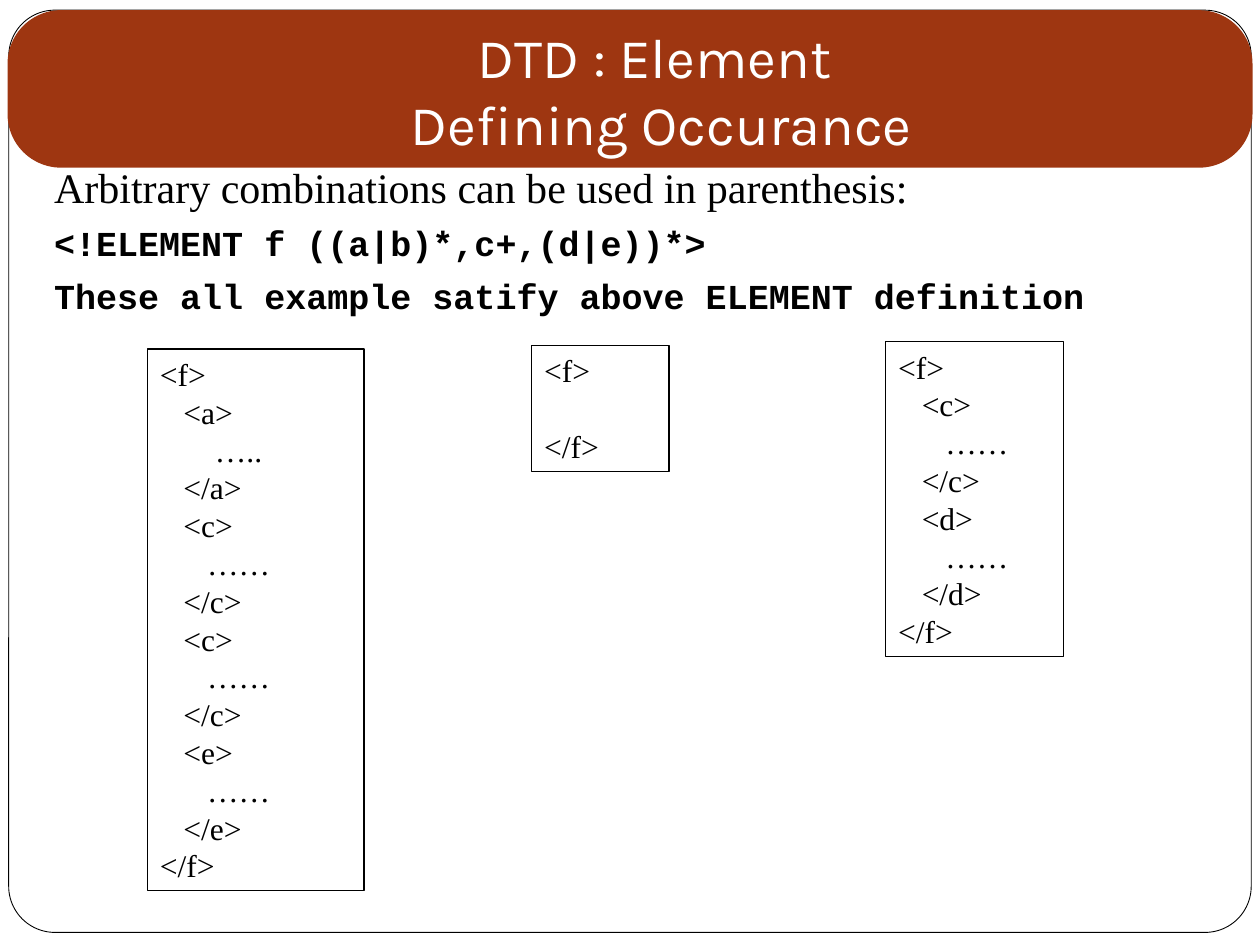
from dataclasses import dataclass

from pptx import Presentation
from pptx.dml.color import RGBColor
from pptx.enum.shapes import MSO_SHAPE as Shape
from pptx.enum.text import MSO_ANCHOR as Anchor, MSO_AUTO_SIZE as AutoSize, PP_ALIGN as Align
from pptx.util import Pt


@dataclass(frozen=True)
class Theme:
    black: RGBColor = RGBColor(0, 0, 0)
    white: RGBColor = RGBColor(255, 255, 255)
    rust: RGBColor = RGBColor(0x9E, 0x36, 0x11)
    title_font: str = "Karla"
    serif: str = "Times New Roman"
    mono: str = "Courier New"
    title_size: float = 32
    lead_size: float = 24
    code_size: float = 20
    sample_size: float = 18
    leading: float = 1.2
    para_gap: float = 5.8


THEME = Theme()

# Left, top, width, height and lines of each sample document; "" is a blank line
SAMPLES = [
    ((84.24, 199.4, 123.8, 309.6),
     ["<f>", "   <a>", "       …..", "   </a>",
      "   <c>", "      ……", "   </c>",
      "   <c>", "      ……", "   </c>",
      "   <e>", "      ……", "   </e>", "</f>"]),
    ((303.84, 197.3, 78.5, 72), ["<f>", "", "</f>"]),
    ((506.16, 195.1, 101.5, 180),
     ["<f>", "   <c>", "      ……", "   </c>",
      "   <d>", "      ……", "   </d>", "</f>"]),
]


def add_panel(page, kind, area, fill=None, line_width=None):
    panel = page.shapes.add_shape(kind, *map(Pt, area))
    panel.shadow.inherit = False
    if fill is None:
        panel.fill.background()
    else:
        panel.fill.solid()
        panel.fill.fore_color.rgb = fill
    if line_width is None:
        panel.line.fill.background()
    else:
        panel.line.color.rgb = THEME.black
        panel.line.width = Pt(line_width)
    return panel


def add_span(para, text, font, size, color=THEME.black, bold=False):
    span = para.add_run()
    span.text = text
    span.font.name = font
    span.font.size = Pt(size)
    span.font.color.rgb = color
    span.font.bold = bold


def next_para(frame, is_first):
    return frame.paragraphs[0] if is_first else frame.add_paragraph()


def add_background(page):
    frame = add_panel(page, Shape.ROUNDED_RECTANGLE, (5, 5.8, 710, 527), THEME.white, 0.5)
    frame.adjustments[0] = 0.05
    banner = add_panel(page, Shape.ROUNDED_RECTANGLE, (4.3, 5.8, 711.4, 90), THEME.rust)
    banner.adjustments[0] = 0.34
    return banner


def set_title(page, banner, lines):
    title = page.shapes.title
    banner.element.addnext(title.element)  # bring the title in front of the banner
    title.left, title.top, title.width, title.height = map(Pt, (72, 7.9, 612, 90))
    frame = title.text_frame
    frame.auto_size = AutoSize.NONE
    frame.vertical_anchor = Anchor.MIDDLE
    frame.margin_top, frame.margin_bottom = Pt(3.6), Pt(7.2)
    para = frame.paragraphs[0]
    para.alignment = Align.CENTER
    for index, line in enumerate(lines):
        if index:
            para.add_line_break()
        add_span(para, line, THEME.title_font, THEME.title_size, THEME.white)


def add_body(page, lines):
    box = page.shapes.add_textbox(*map(Pt, (23.8, 88.6, 678.2, 389.5)))
    frame = box.text_frame
    frame.word_wrap = True
    for index, (text, font, size, bold) in enumerate(lines):
        para = next_para(frame, index == 0)
        para.line_spacing = Pt(size * THEME.leading)
        if index:
            para.space_before = Pt(THEME.para_gap)
        add_span(para, text, font, size, bold=bold)


def add_sample(page, area, lines):
    frame = add_panel(page, Shape.RECTANGLE, area, line_width=0.75).text_frame
    frame.vertical_anchor = Anchor.TOP
    line_height = Pt(THEME.sample_size * THEME.leading)
    blank_lines = 0
    for index, line in enumerate(lines):
        if not line:
            blank_lines += 1
            continue
        para = next_para(frame, index == 0)
        para.alignment = Align.LEFT
        para.line_spacing = line_height
        if blank_lines:
            para.space_before = line_height * blank_lines
            blank_lines = 0
        add_span(para, line, THEME.serif, THEME.sample_size)


def main():
    deck = Presentation()
    deck.slide_width, deck.slide_height = Pt(720), Pt(540)
    page = deck.slides.add_slide(deck.slide_layouts[5])

    # Frame, banner and title
    banner = add_background(page)
    set_title(page, banner, ["DTD : Element ", "Defining Occurance"])

    # Rule and its declaration
    add_body(page, [
        ("Arbitrary combinations can be used in parenthesis:",
         THEME.serif, THEME.lead_size, False),
        ("<!ELEMENT f ((a|b)*,c+,(d|e))*>", THEME.mono, THEME.code_size, True),
        ("These all example satify above ELEMENT definition",
         THEME.mono, THEME.code_size, True),
    ])

    # Sample documents
    for area, lines in SAMPLES:
        add_sample(page, area, lines)

    deck.save("out.pptx")


if __name__ == "__main__":
    main()
